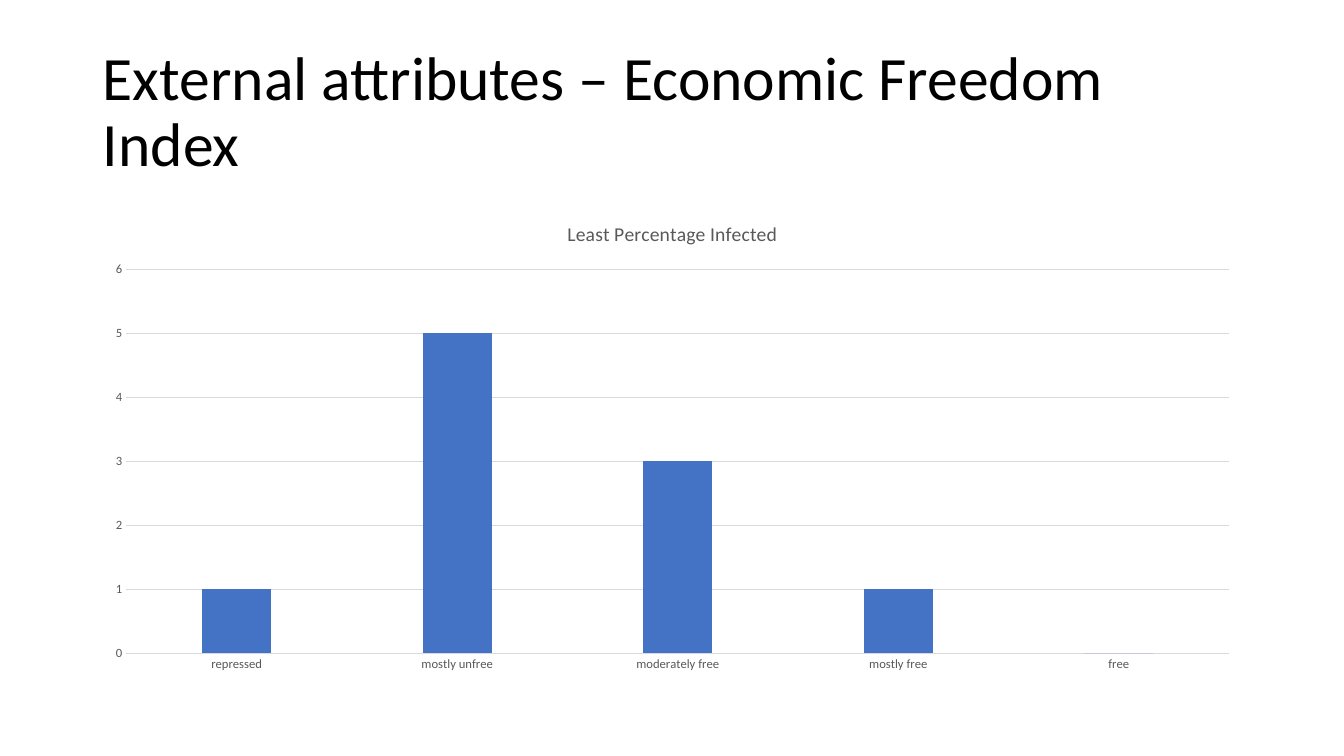
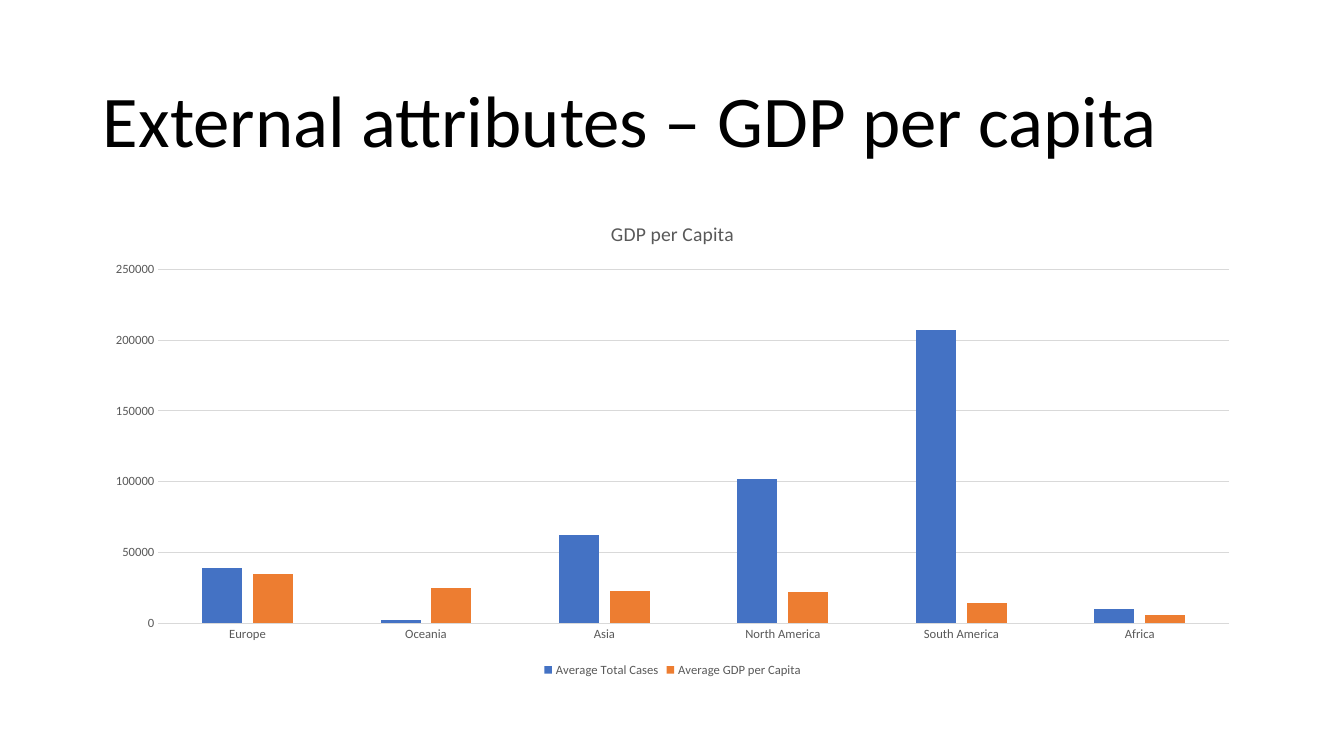
from pptx import Presentation
from pptx.chart.data import CategoryChartData
from pptx.dml.color import RGBColor
from pptx.enum import chart as charts, text
from pptx.util import Inches, Pt

BLACK = RGBColor(0x00, 0x00, 0x00)
GRAY = RGBColor(0x59, 0x59, 0x59)
RULE = RGBColor(0xD9, 0xD9, 0xD9)
SERIES_COLORS = (RGBColor(0x44, 0x72, 0xC4), RGBColor(0xED, 0x7D, 0x31))
FONT = "Calibri"
TITLE_ONLY = 5
LEFT, WIDTH = Inches(0.92), Inches(11.5)
TITLE_BOTTOM = Inches(1.85)
CHART_TOP, CHART_HEIGHT = Inches(2), Inches(4.76)


def apply(target, values):
    for name, value in values.items():
        setattr(target, name, value)


def style_font(font, size, color=GRAY):
    apply(font, {"name": FONT, "size": Pt(size), "bold": False})
    font.color.rgb = color


def style_line(line):
    line.color.rgb = RULE
    line.width = Pt(0.75)


def set_title(page, wording, size, top):
    title = page.shapes.title
    apply(title, {"left": LEFT, "top": top, "width": WIDTH,
                  "height": TITLE_BOTTOM - top})
    frame = title.text_frame
    frame.text = wording
    apply(frame, {"word_wrap": True, "auto_size": text.MSO_AUTO_SIZE.NONE,
                  "vertical_anchor": text.MSO_ANCHOR.MIDDLE})
    para = frame.paragraphs[0]
    apply(para, {"alignment": text.PP_ALIGN.LEFT, "line_spacing": 0.9})
    style_font(para.runs[0].font, size, BLACK)


def style_axes(chart):
    for axis in (chart.category_axis, chart.value_axis):
        apply(axis, {"major_tick_mark": charts.XL_TICK_MARK.NONE,
                     "minor_tick_mark": charts.XL_TICK_MARK.NONE})
        style_font(axis.tick_labels.font, 9)
    style_line(chart.category_axis.format.line)
    chart.value_axis.format.line.fill.background()
    style_line(chart.value_axis.major_gridlines.format.line)


def add_column_chart(page, heading, categories, series, top_value, step):
    data = CategoryChartData()
    data.categories = categories
    for name, values in series.items():
        data.add_series(name, values)
    chart = page.shapes.add_chart(
        charts.XL_CHART_TYPE.COLUMN_CLUSTERED,
        LEFT, CHART_TOP, WIDTH, CHART_HEIGHT, data).chart
    style_font(chart.font, 10, BLACK)

    chart.has_title = True
    chart.chart_title.include_in_layout = False
    frame = chart.chart_title.text_frame
    frame.text = heading
    style_font(frame.paragraphs[0].runs[0].font, 14)

    style_axes(chart)
    apply(chart.value_axis, {"minimum_scale": 0, "maximum_scale": top_value,
                             "major_unit": step})
    plot = chart.plots[0]
    apply(plot, {"gap_width": 219, "overlap": -27, "vary_by_categories": False})
    for column, color in zip(plot.series, SERIES_COLORS):
        column.format.fill.solid()
        column.format.fill.fore_color.rgb = color

    chart.has_legend = len(series) > 1
    if chart.has_legend:
        apply(chart.legend, {"position": charts.XL_LEGEND_POSITION.BOTTOM,
                             "include_in_layout": False})
        style_font(chart.legend.font, 9)


def main():
    deck = Presentation()
    apply(deck, {"slide_width": Inches(13.33), "slide_height": Inches(7.5)})
    layout = deck.slide_layouts[TITLE_ONLY]

    freedom = deck.slides.add_slide(layout)
    set_title(freedom, "External attributes – Economic Freedom Index", 44, Inches(0.4))
    add_column_chart(
        freedom, "Least Percentage Infected",
        ["repressed", "mostly unfree", "moderately free", "mostly free", "free"],
        {"Least Percentage Infected": (1, 5, 3, 1, 0)}, 6, 1)

    gdp = deck.slides.add_slide(layout)
    set_title(gdp, "External attributes – GDP per capita", 52, Inches(0.61))
    add_column_chart(
        gdp, "GDP per Capita",
        ["Europe", "Oceania", "Asia", "North America", "South America", "Africa"],
        {"Average Total Cases": (39000, 2000, 62000, 102000, 207000, 10000),
         "Average GDP per Capita": (35000, 25000, 23000, 22000, 14000, 6000)},
        250000, 50000)

    deck.save("out.pptx")


if __name__ == "__main__":
    main()
